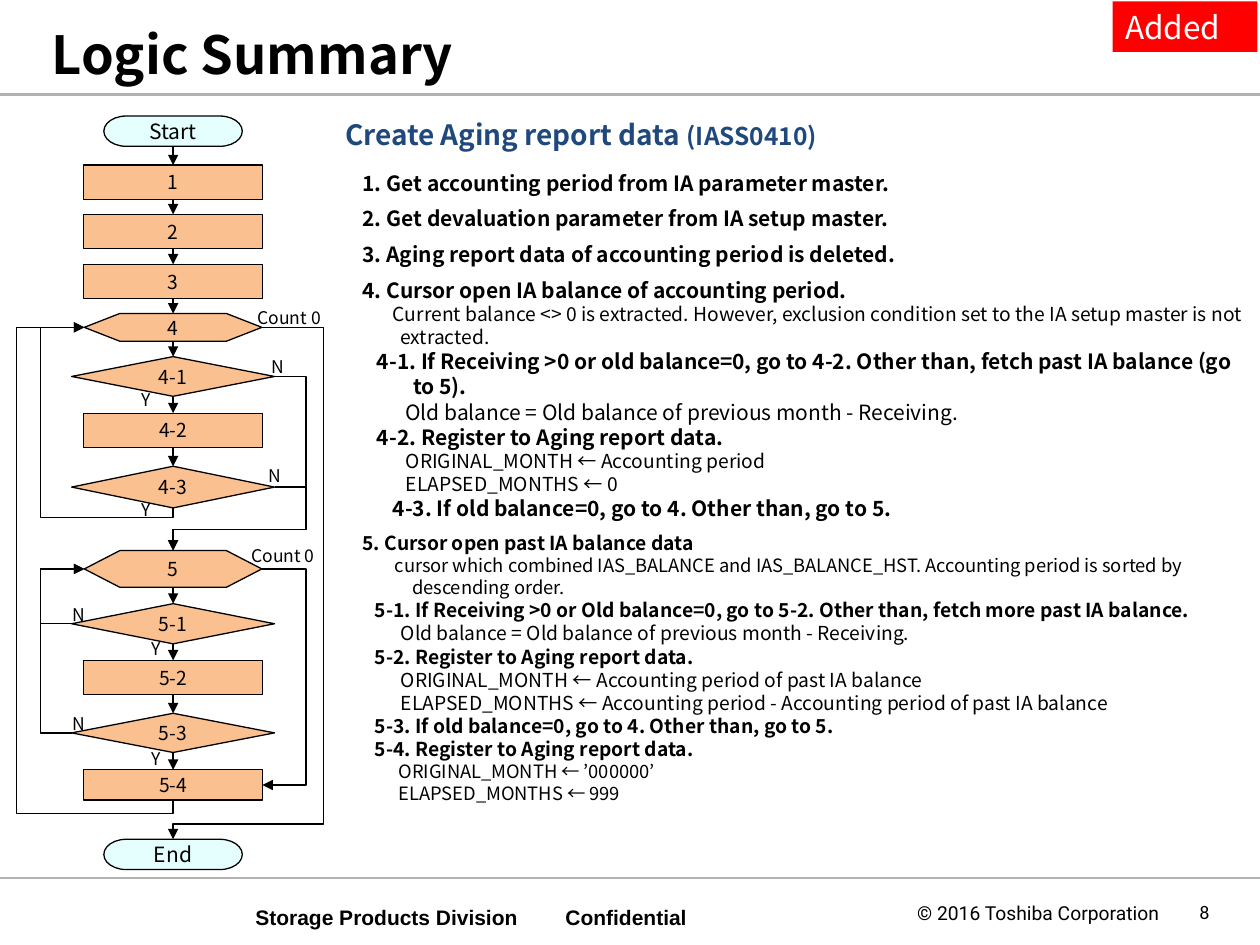
"""Build the Logic Summary slide: a flowchart beside its numbered steps."""
import itertools

import lxml.etree
import pptx
import pptx.dml.color
import pptx.enum.shapes
import pptx.enum.text
import pptx.oxml.ns
import pptx.util

Cm = pptx.util.Cm
Pt = pptx.util.Pt
qn = pptx.oxml.ns.qn
SHAPE = pptx.enum.shapes.MSO_SHAPE
CONNECTOR = pptx.enum.shapes.MSO_CONNECTOR
ALIGN = pptx.enum.text.PP_ALIGN
ANCHOR = pptx.enum.text.MSO_ANCHOR

COLORS = {"black": "000000", "white": "FFFFFF", "rule": "B2B2B2", "heading": "1F497D",
          "step": "FAC090", "terminal": "CCFFFF", "badge": "FF0000"}
AXIS = 3.49
WIDTHS = {SHAPE.FLOWCHART_TERMINATOR: 2.79, SHAPE.FLOWCHART_PROCESS: 3.6,
          SHAPE.FLOWCHART_PREPARATION: 3.58, SHAPE.FLOWCHART_DECISION: 4.09}
NODES = [
    ("Start", SHAPE.FLOWCHART_TERMINATOR, 2.34, 0.61),
    ("1", SHAPE.FLOWCHART_PROCESS, 3.33, 0.69),
    ("2", SHAPE.FLOWCHART_PROCESS, 4.32, 0.69),
    ("3", SHAPE.FLOWCHART_PROCESS, 5.33, 0.69),
    ("4", SHAPE.FLOWCHART_PREPARATION, 6.32, 0.56),
    ("4-1", SHAPE.FLOWCHART_DECISION, 7.19, 0.8),
    ("4-2", SHAPE.FLOWCHART_PROCESS, 8.33, 0.69),
    ("4-3", SHAPE.FLOWCHART_DECISION, 9.4, 0.84),
    ("5", SHAPE.FLOWCHART_PREPARATION, 11.1, 0.74),
    ("5-1", SHAPE.FLOWCHART_DECISION, 12.17, 0.81),
    ("5-2", SHAPE.FLOWCHART_PROCESS, 13.31, 0.69),
    ("5-3", SHAPE.FLOWCHART_DECISION, 14.38, 0.79),
    ("5-4", SHAPE.FLOWCHART_PROCESS, 15.52, 0.61),
    ("End", SHAPE.FLOWCHART_TERMINATOR, 16.92, 0.61),
]
LABELS = [("Count 0", 4.75, 6.05, 2.16), ("Count 0", 4.7, 10.85, 2.01),
          ("N", 5.31, 7.04, 0.41), ("N", 5.26, 9.25, 0.41),
          ("N", 1.3, 12.04, 0.41), ("N", 1.3, 14.25, 0.41),
          ("Y", 2.69, 7.72, 0.41), ("Y", 2.69, 9.93, 0.41),
          ("Y", 2.9, 12.73, 0.41), ("Y", 2.9, 14.94, 0.41)]
LEVELS = {
    "step": (12, True, 0, 1.27, 6),
    "note": (11, False, 0.61, 0.76, 0),
    "substep": (12, True, 0.29, 1.02, 0),
    "formula": (12, False, 0.86, 1.02, 0),
    "field": (11, False, 0.87, 1.27, 0),
    "inner": (12, True, 0.61, 1.27, 0),
    "step 5": (11, True, 0, 1.27, 6),
    "note 5": (10.5, False, 0.65, 1, 0),
    "substep 5": (11, True, 0.25, 1.02, 0),
    "field 5": (11, False, 0.77, 1.27, 0),
    "last": (10.5, False, 0.73, 1.02, 0),
}
STEPS = [
    ("step", "1. Get accounting period from IA parameter master."),
    ("step", "2. Get devaluation parameter from IA setup master."),
    ("step", "3. Aging report data of accounting period is deleted."),
    ("step", "4. Cursor open IA balance of accounting period."),
    ("note", "Current balance <> 0 is extracted. However, exclusion condition set to "
             "the IA setup master is not extracted."),
    ("substep", "4-1. If Receiving >0 or old balance=0, go to 4-2. Other than, fetch past "
                "IA balance (go to 5)."),
    ("formula", "Old balance = Old balance of previous month - Receiving."),
    ("substep", "4-2. Register to Aging report data."),
    ("field", "ORIGINAL_MONTH ← Accounting period"),
    ("field", "ELAPSED_MONTHS ← 0"),
    ("inner", "4-3. If old balance=0, go to 4. Other than, go to 5."),
    ("step 5", "5. Cursor open past IA balance data"),
    ("note 5", "cursor which combined IAS_BALANCE and IAS_BALANCE_HST. Accounting period "
               "is sorted by descending order."),
    ("substep 5", "5-1. If Receiving >0 or Old balance=0, go to 5-2. Other than, fetch more "
                  "past IA balance."),
    ("field 5", "Old balance = Old balance of previous month - Receiving."),
    ("substep 5", "5-2. Register to Aging report data."),
    ("field 5", "ORIGINAL_MONTH ← Accounting period of past IA balance"),
    ("field 5", "ELAPSED_MONTHS ← Accounting period - Accounting period of past IA balance"),
    ("substep 5", "5-3. If old balance=0, go to 4. Other than, go to 5."),
    ("substep 5", "5-4. Register to Aging report data."),
    ("last", "ORIGINAL_MONTH ← ’000000’"),
    ("last", "ELAPSED_MONTHS ← 999"),
]


class Deck:
    def __init__(self, s, font="Noto Sans CJK JP"):
        self.s, self.font = s, font

    def rgb(self, name):
        return pptx.dml.color.RGBColor.from_string(COLORS[name])

    def style(self, r, size, bold=False, color="black", font=None):
        r.font.size, r.font.bold = Pt(size), bold
        r.font.color.rgb = self.rgb(color)
        r.font.name = font or self.font
        lxml.etree.SubElement(r.font._element, qn("a:ea"), typeface=r.font.name)

    def frame(self, sp, inset=(0.25, 0.13), anchor=ANCHOR.TOP, wrap=False):
        tf = sp.text_frame
        tf.word_wrap, tf.vertical_anchor = wrap, anchor
        tf.margin_left = tf.margin_right = Cm(inset[0])
        tf.margin_top = tf.margin_bottom = Cm(inset[1])
        return tf

    def fill_text(self, tf, text, size, align=ALIGN.LEFT, **look):
        tf.text = text
        p = tf.paragraphs[0]
        p.alignment = align
        self.style(p.runs[0], size, **look)
        return p

    def text(self, text, box, size, align=ALIGN.LEFT, inset=(0.25, 0.13),
             anchor=ANCHOR.TOP, **look):
        sp = self.s.shapes.add_textbox(*map(Cm, box))
        return self.fill_text(self.frame(sp, inset, anchor), text, size, align, **look)

    def shape(self, kind, box, fill, outline=None, alpha=None):
        sp = self.s.shapes.add_shape(kind, *map(Cm, box))
        sp.shadow.inherit = False
        sp.fill.solid()
        sp.fill.fore_color.rgb = self.rgb(fill)
        if alpha:
            color = sp._element.spPr.find(".//" + qn("a:srgbClr"))
            lxml.etree.SubElement(color, qn("a:alpha"), val=str(alpha * 1000))
        if outline:
            sp.line.color.rgb, sp.line.width = self.rgb(outline), Pt(0.75)
        else:
            sp.line.fill.background()
        return sp

    def node(self, label, kind, top, height):
        terminal = kind == SHAPE.FLOWCHART_TERMINATOR
        box = (AXIS - WIDTHS[kind] / 2, top, WIDTHS[kind], height)
        sp = self.shape(kind, box, "terminal" if terminal else "step", "black",
                        50 if terminal else None)
        self.fill_text(self.frame(sp, anchor=ANCHOR.MIDDLE), label, 12 if terminal else 11,
                       ALIGN.CENTER)

    def line(self, start, end, color="black", width=0.75, arrow="tailEnd",
             kind=CONNECTOR.STRAIGHT):
        sp = self.s.shapes.add_connector(kind, *map(Cm, start + end))
        sp.line.color.rgb, sp.line.width = self.rgb(color), Pt(width)
        if arrow:
            lxml.etree.SubElement(sp.line._ln, qn("a:" + arrow), type="triangle")
        lxml.etree.SubElement(sp._element.spPr, qn("a:effectLst"))
        return sp

    def elbow(self, start, end, lane_x, lane_y=None, arrow="tailEnd"):
        sp = self.line(start, end, arrow=arrow, kind=CONNECTOR.ELBOW)
        ratios = [(lane_x - start[0]) / (end[0] - start[0])]
        if lane_y is not None:
            ratios.append((lane_y - start[1]) / (end[1] - start[1]))
        geom = sp._element.spPr.find(qn("a:prstGeom"))
        geom.set("prst", f"bentConnector{len(ratios) + 2}")
        guides = geom.find(qn("a:avLst"))
        for i, ratio in enumerate(ratios, 1):
            lxml.etree.SubElement(guides, qn("a:gd"), name=f"adj{i}",
                                  fmla=f"val {round(ratio * 100000)}")

    def steps(self, box, rows):
        tf = self.frame(self.shape(SHAPE.RECTANGLE, box, "white"), (0.25, 0.1), wrap=True)
        tf.text = "\n".join(text for _, text in rows)
        for i, (p, (level, _)) in enumerate(zip(tf.paragraphs, rows)):
            size, bold, first, wrapped, before = LEVELS[level]
            p.alignment = ALIGN.LEFT
            pPr = p._p.get_or_add_pPr()
            pPr.set("marL", str(Cm(wrapped)))
            pPr.set("indent", str(Cm(first - wrapped)))
            if i and before:
                p.space_before = Pt(before)
            self.style(p.runs[0], size, bold)


def main():
    prs = pptx.Presentation()
    prs.slide_width, prs.slide_height = Cm(25.4), Cm(19.05)
    deck = Deck(prs.slides.add_slide(prs.slide_layouts[6]))
    flat = {"inset": (0, 0), "anchor": ANCHOR.MIDDLE}

    for y, width in ((17.7, 1), (1.9, 1.5)):
        deck.line((0, y), (25.4, y), "rule", width, arrow=None)
    deck.text("© 2016 Toshiba Corporation", (18.49, 18.16, 4.95, 0.48), 11, font="Roboto", **flat)
    deck.text("8", (22.78, 17.96, 1.6, 0.84), 11, ALIGN.RIGHT, font="Calibri", **flat)
    deck.text("Storage Products Division", (4.9, 18.11, 13, 0.48), 12, bold=True, font="Arial")
    deck.text("Confidential", (11.4, 18.06, 2.51, 0.84), 12, bold=True, font="Arial", **flat)
    deck.text("Logic Summary", (1.04, 0.2, 23.24, 1.52), 30, bold=True,
              inset=(0, 0), anchor=ANCHOR.BOTTOM)
    p = deck.text("Create Aging report data ", (6.71, 2.24, 11.35, 0.94), 16,
                  bold=True, color="heading")
    r = p.add_run()
    r.text = "(IASS0410)"
    deck.style(r, 14, True, "heading")
    deck.steps((7.06, 3.33, 18.34, 14.2), STEPS)

    left, right, bottom = {}, {}, {}
    for label, kind, top, height in NODES:
        deck.node(label, kind, top, height)
        bottom[label] = (AXIS, top + height)
        left[label] = (AXIS - WIDTHS[kind] / 2, top + height / 2)
        right[label] = (AXIS + WIDTHS[kind] / 2, top + height / 2)
    for (label, *_), (_, _, top, _) in itertools.pairwise(NODES):
        if label not in ("4-3", "5-4"):
            deck.line(bottom[label], (AXIS, top))
    for label in ("4-1", "4-3"):
        deck.elbow(right[label], (AXIS, 11.1), 6.17, 10.67)
    deck.elbow(right["4"], (AXIS, 16.92), 6.53, 16.61)
    deck.elbow(right["5"], right["5-4"], 6.17)
    for label in ("5-1", "5-3"):
        deck.elbow(left[label], left["5"], 0.81)
    for label, lane_x, lane_y in (("4-3", 0.81, 10.44), ("5-4", 0.33, 16.41)):
        deck.elbow(left["4"], bottom[label], lane_x, lane_y, arrow="headEnd")
    for label, x, y, width in LABELS:
        deck.text(label, (x, y, width, 0.69), 10, ALIGN.CENTER)

    badge = deck.shape(SHAPE.RECTANGLE, (22.43, 0.03, 2.92, 1.02), "badge")
    deck.fill_text(deck.frame(badge), "Added", 18, color="white")
    prs.save("out.pptx")


if __name__ == "__main__":
    main()
